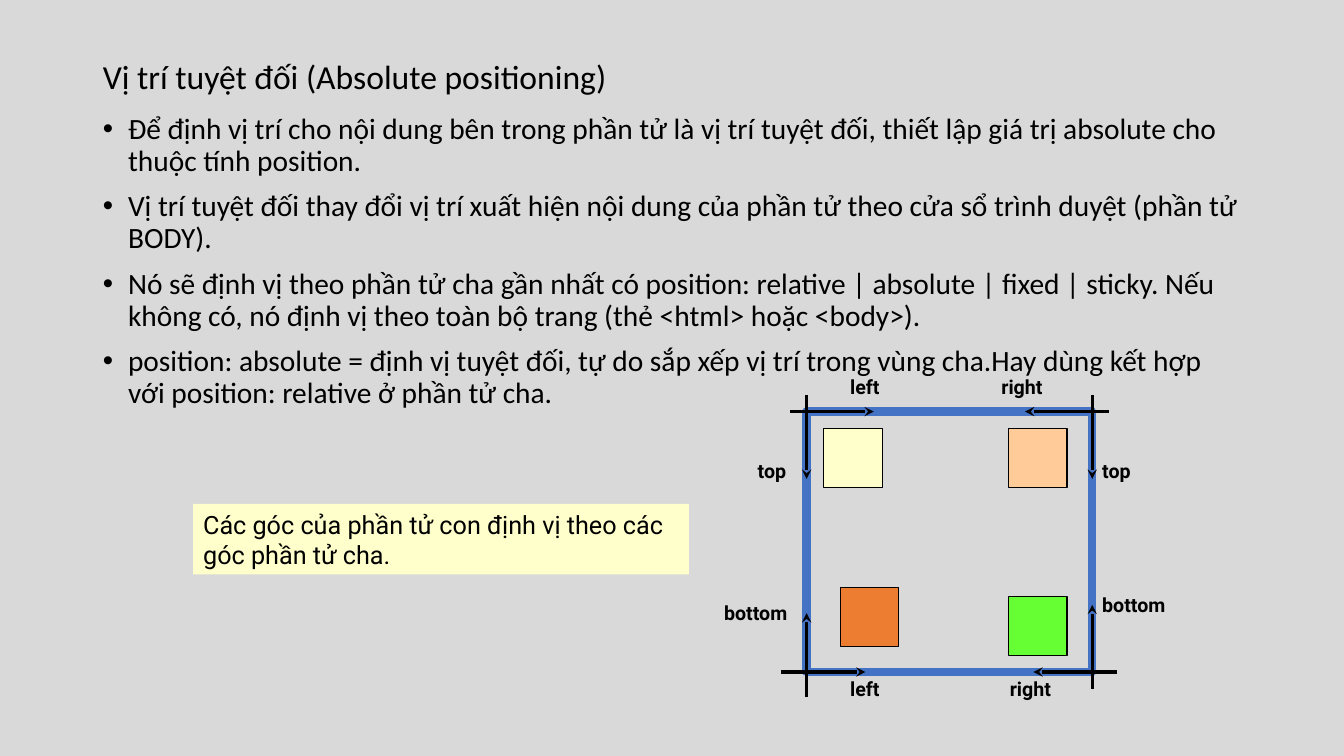
import pptx
import pptx.util
import pptx.dml.color
import pptx.enum.shapes
import pptx.enum.text
import pptx.oxml.ns
import lxml.etree

INCH = pptx.util.Inches(1)
CELL = INCH / 12  # the diagram sits on a grid of twelve cells per inch
RECTANGLE = pptx.enum.shapes.MSO_SHAPE.RECTANGLE
AUTO_SIZE = pptx.enum.text.MSO_AUTO_SIZE
qn = pptx.oxml.ns.qn


def color(hex_code):
    return pptx.dml.color.RGBColor.from_string(hex_code)


def write(frame, lines, font_name, size, bold=False):
    frame.text = "\n".join(lines)
    frame.word_wrap = True
    for paragraph in frame.paragraphs:
        paragraph.alignment = pptx.enum.text.PP_ALIGN.LEFT
        for run in paragraph.runs:
            run.font.name = font_name
            run.font.size = pptx.util.Pt(size)
            run.font.bold = bold
            run.font.color.rgb = color("000000")


presentation = pptx.Presentation()
presentation.slide_width = int(13.33 * INCH)
presentation.slide_height = int(7.5 * INCH)
slide = presentation.slides.add_slide(presentation.slide_layouts[1])
slide.background.fill.solid()
slide.background.fill.fore_color.rgb = color("D9D9D9")

# Title and bullet list
title, points = slide.placeholders
for placeholder, top, height in ((title, 0.05, 1.45), (points, 1.08, 5.67)):
    placeholder.left, placeholder.width = int(0.92 * INCH), int(11.5 * INCH)
    placeholder.top, placeholder.height = int(top * INCH), int(height * INCH)
    placeholder.text_frame.auto_size = AUTO_SIZE.NONE

write(title.text_frame, ["Vị trí tuyệt đối (Absolute positioning)"], "Calibri", 24)
title.text_frame.vertical_anchor = pptx.enum.text.MSO_ANCHOR.MIDDLE
title.text_frame.paragraphs[0].line_spacing = 0.9

write(points.text_frame, [
    "Để định vị trí cho nội dung bên trong phần tử là vị trí tuyệt đối, "
    "thiết lập giá trị absolute cho thuộc tính position.",
    "Vị trí tuyệt đối thay đổi vị trí xuất hiện nội dung của phần tử theo "
    "cửa sổ trình duyệt (phần tử BODY).",
    "Nó sẽ định vị theo phần tử cha gần nhất có position: relative | absolute "
    "| fixed | sticky. Nếu không có, nó định vị theo toàn bộ trang "
    "(thẻ <html> hoặc <body>).",
    "position: absolute = định vị tuyệt đối, tự do sắp xếp vị trí trong vùng "
    "cha.Hay dùng kết hợp với position: relative ở phần tử cha.",
], "Calibri", 21)
for point in points.text_frame.paragraphs:
    point.line_spacing = 0.9
    point.space_before = pptx.util.Pt(10)
    properties = point._p.get_or_add_pPr()
    properties.set("marL", str(INCH // 4))
    properties.set("indent", str(-INCH // 4))
    lxml.etree.SubElement(properties, qn("a:buFont")).set("typeface", "Arial")
    lxml.etree.SubElement(properties, qn("a:buChar")).set("char", "•")

# Parent frame of the diagram
diagram = slide.shapes.add_group_shape().shapes
LEFT, TOP, RIGHT, BOTTOM = 96, 49, 130, 80
parent = diagram.add_shape(
    RECTANGLE, int(LEFT * CELL), int(TOP * CELL),
    int((RIGHT - LEFT) * CELL), int((BOTTOM - TOP) * CELL))
parent.shadow.inherit = False
parent.fill.background()
parent.line.color.rgb = color("4472C4")
parent.line.width = pptx.util.Pt(6)

# Offset arrows: start column, start row, direction
ARROW_LENGTH = 10
for column, row, across, down in (
    (LEFT, TOP - 2, 0, 1),
    (LEFT - 3, BOTTOM, 1, 0),
    (LEFT, BOTTOM + 3, 0, -1),
    (RIGHT + 3, BOTTOM, -1, 0),
    (RIGHT, TOP - 2, 0, 1),
    (RIGHT, BOTTOM + 2, 0, -1),
    (LEFT - 2, TOP, 1, 0),
    (RIGHT + 2, TOP, -1, 0),
):
    arrow = diagram.add_connector(
        pptx.enum.shapes.MSO_CONNECTOR.STRAIGHT,
        int(column * CELL), int(row * CELL),
        int((column + across * ARROW_LENGTH) * CELL),
        int((row + down * ARROW_LENGTH) * CELL))
    arrow.line.color.rgb = color("000000")
    arrow.line.width = pptx.util.Pt(2.25)
    lxml.etree.SubElement(arrow.line._get_or_add_ln(), qn("a:tailEnd")).set("type", "stealth")
    lxml.etree.SubElement(arrow._element.spPr, qn("a:effectLst"))

# Offset labels: text, column, row, width
for label, column, row, width in (
    ("right", 118, 44, 10), ("right", 119, 80, 10),
    ("top", 130, 54, 10), ("bottom", 130, 70, 12),
    ("top", 89, 54, 10), ("bottom", 85, 71, 12),
    ("left", 100, 44, 10), ("left", 100, 80, 10),
):
    caption = diagram.add_textbox(
        int(column * CELL), int(row * CELL), int(width * CELL), int(4 * CELL))
    write(caption.text_frame, [label], "Roboto", 14, bold=True)
    caption.text_frame.auto_size = AUTO_SIZE.SHAPE_TO_FIT_TEXT

# Child elements in the four corners
for column, row, fill in (
    (98, 51, "FFFFCC"), (120, 51, "FFCC99"),
    (100, 70, "ED7D31"), (120, 71, "66FF33"),
):
    child = diagram.add_shape(
        RECTANGLE, int(column * CELL), int(row * CELL), int(7 * CELL), int(7 * CELL))
    child.shadow.inherit = False
    child.fill.solid()
    child.fill.fore_color.rgb = color(fill)
    child.line.color.rgb = color("000000")
    child.line.width = pptx.util.Pt(0.75)

# Explanatory note
note = slide.shapes.add_shape(
    RECTANGLE, int(23 * CELL), int(60 * CELL), int(59 * CELL), int(0.7 * INCH))
note.shadow.inherit = False
note.fill.solid()
note.fill.fore_color.rgb = color("FFFFCC")
note.line.fill.background()
write(note.text_frame, ["Các góc của phần tử con định vị theo các góc phần tử cha."],
      "Roboto", 18)
note.text_frame.vertical_anchor = pptx.enum.text.MSO_ANCHOR.TOP
note.text_frame.auto_size = AUTO_SIZE.SHAPE_TO_FIT_TEXT

presentation.save("out.pptx")
